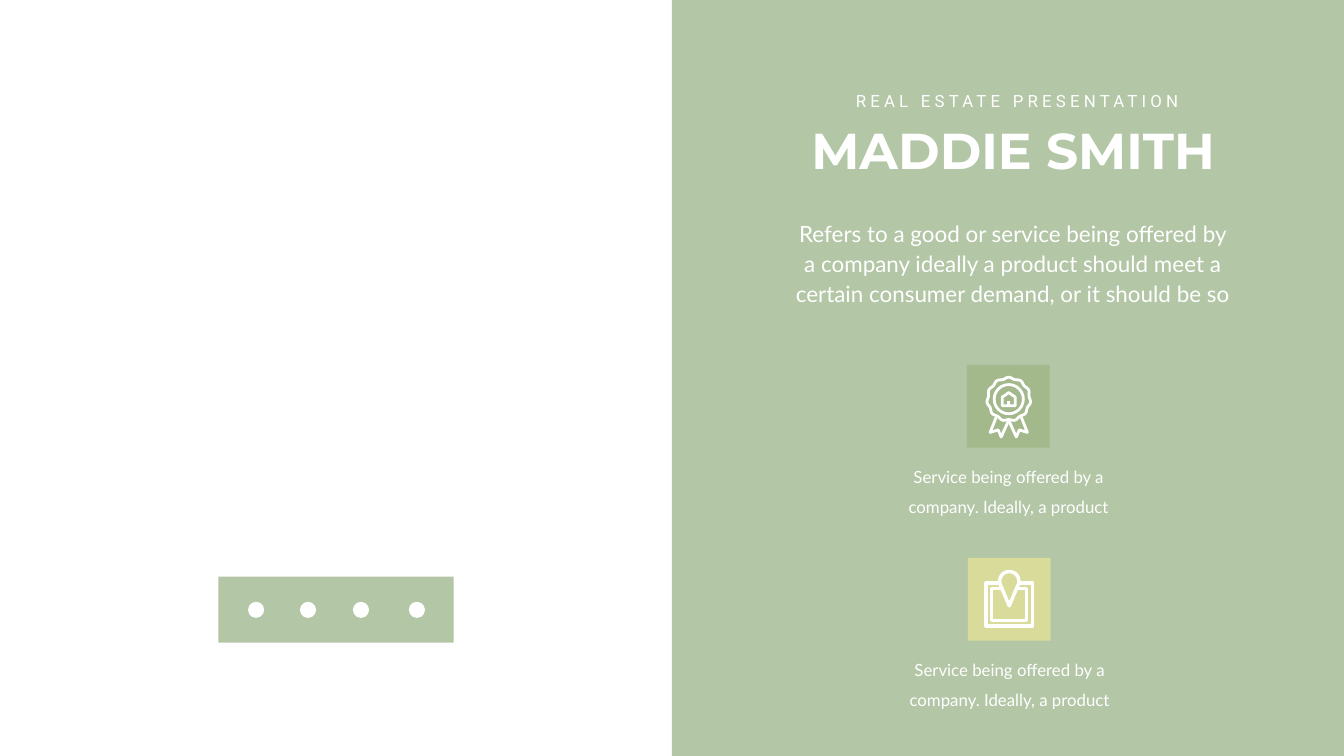
from math import cos, pi, sin

from pptx import Presentation
from pptx.dml.color import RGBColor
from pptx.enum.shapes import MSO_SHAPE as Shape
from pptx.enum.text import MSO_AUTO_SIZE as AutoSize, PP_ALIGN as Align
from pptx.oxml.ns import qn
from pptx.util import Inches, Pt
from lxml.etree import SubElement

COLORS = {
    "white": "FFFFFF",
    "sage": "B3C6A6",
    "moss": "A3B98C",
    "lime": "D8DB9A",
}
SERVICE = "Service being offered by a company. Ideally, a product"
SUMMARY = ("Refers to a good or service being offered by a company ideally "
           "a product should meet a certain consumer demand, or it should be so")


def rgb(name):
    return RGBColor.from_string(COLORS[name])


def add_block(shapes, left, top, width, height, color, kind=Shape.RECTANGLE):
    """Filled preset shape without an outline."""
    block = shapes.add_shape(kind, Inches(left), Inches(top),
                             Inches(width), Inches(height))
    block.shadow.inherit = False
    block.fill.solid()
    block.fill.fore_color.rgb = rgb(color)
    block.line.fill.background()
    return block


def set_stroke(outline, weight):
    """White line with round joins and no fill."""
    outline.shadow.inherit = False
    outline.fill.background()
    outline.line.color.rgb = rgb("white")
    outline.line.width = Pt(weight)
    SubElement(outline.line._get_or_add_ln(), qn("a:round"))


def add_outline(shapes, points, weight, close=False):
    start, *rest = [(Inches(x), Inches(y)) for x, y in points]
    builder = shapes.build_freeform(*start)
    builder.add_line_segments(rest, close=close)
    set_stroke(builder.convert_to_shape(), weight)


def add_ring(shapes, cx, cy, radius, weight):
    ring = shapes.add_shape(Shape.OVAL, Inches(cx - radius), Inches(cy - radius),
                            Inches(2 * radius), Inches(2 * radius))
    set_stroke(ring, weight)


def add_text(shapes, text, left, top, width, height, *, font, size,
             bold=False, tracking=None, leading=None, inset=(0.1, 0.05)):
    box = shapes.add_textbox(Inches(left), Inches(top),
                             Inches(width), Inches(height))
    frame = box.text_frame
    frame.word_wrap = True
    frame.auto_size = AutoSize.SHAPE_TO_FIT_TEXT
    frame.margin_left = frame.margin_right = Inches(inset[0])
    frame.margin_top = frame.margin_bottom = Inches(inset[1])
    paragraph = frame.paragraphs[0]
    paragraph.alignment = Align.CENTER
    if leading:
        paragraph.line_spacing = Pt(leading)
    run = paragraph.add_run()
    run.text = text
    run.font.name = font
    run.font.size = Pt(size)
    run.font.bold = bold
    run.font.color.rgb = rgb("white")
    if tracking:
        run.font._element.set("spc", str(tracking * 100))


def add_body(shapes, text, left, top, width, height, size):
    add_text(shapes, text, left, top, width, height, font="Lato", size=size,
             leading=43, inset=(0.24, 0.12))


def arc(cx, cy, radius, start, end, steps=24):
    """Points on an arc, with angles in degrees clockwise from the right."""
    angles = [(start + (end - start) * i / steps) * pi / 180
              for i in range(steps + 1)]
    return [(cx + radius * cos(a), cy + radius * sin(a)) for a in angles]


def add_social_bar(shapes):
    bar = shapes.add_group_shape().shapes
    add_block(bar, 4.33, 11.44, 4.67, 1.31, "sage")
    # Plain dots stand for the network marks
    for center in (5.08, 6.11, 7.16, 8.27):
        add_block(bar, center - 0.16, 11.94, 0.32, 0.32, "white", Shape.OVAL)


def add_award_icon(shapes):
    award = shapes.add_group_shape().shapes
    cx, cy = 20.01, 7.92
    # Scalloped rim and inner ring
    rim = []
    for step in range(132):
        angle = 2 * pi * step / 132
        radius = 0.42 - 0.015 * cos(11 * (angle - pi / 2))
        rim.append((cx + radius * cos(angle), cy + radius * sin(angle)))
    add_outline(award, rim, 4, close=True)
    add_ring(award, cx, cy, 0.29, 4)
    # Two mirrored ribbon tails
    tail = [(0.25, 8.28), (0.37, 8.58), (0.21, 8.53), (0.15, 8.67), (0, 8.34)]
    for side in (-1, 1):
        add_outline(award, [(cx + side * dx, y) for dx, y in tail], 4)
    # House with its door
    house = [(-0.13, 8.05), (-0.13, 7.88), (0, 7.79), (0.13, 7.88), (0.13, 8.05)]
    add_outline(award, [(cx + dx, y) for dx, y in house], 4, close=True)
    add_block(award, cx - 0.03, 7.96, 0.06, 0.09, "white")


def add_map_icon(shapes):
    place = shapes.add_group_shape().shapes
    cx = 20.02
    # Two frames, open at the top where the pin stands
    for gap, half, top, bottom, weight in ((0.2, 0.46, 11.57, 12.42, 5),
                                           (0.17, 0.35, 11.68, 12.31, 4.5)):
        add_outline(place, [(cx - gap, top), (cx - half, top),
                            (cx - half, bottom), (cx + half, bottom),
                            (cx + half, top), (cx + gap, top)], weight)
    # Pin
    head = arc(cx, 11.53, 0.19, 160, 380)
    add_outline(place, head + [(cx, 12.02)], 5, close=True)


def main():
    deck = Presentation()
    deck.slide_width, deck.slide_height = Inches(26.66), Inches(15)
    slide = deck.slides.add_slide(deck.slide_layouts[6])
    slide.background.fill.solid()
    slide.background.fill.fore_color.rgb = rgb("white")
    shapes = slide.shapes

    # Panel and social bar
    add_block(shapes, 13.33, -0.03, 13.33, 15.03, "sage")
    add_social_bar(shapes)

    # Heading and summary
    add_text(shapes, "MADDIE SMITH", 15.99, 2.31, 8.21, 1.31,
             font="Montserrat", size=72, bold=True)
    add_text(shapes, "REAL ESTATE PRESENTATION", 16.67, 1.76, 7.01, 0.5,
             font="Roboto", size=24, tracking=6)
    add_body(shapes, SUMMARY, 15.49, 4.18, 9.2, 1.99, 32)

    # Services: tile, icon, caption
    for left, top, color, add_icon in ((19.18, 7.24, "moss", add_award_icon),
                                       (19.2, 11.07, "lime", add_map_icon)):
        add_block(shapes, left, top, 1.64, 1.64, color)
        add_icon(shapes)
        add_body(shapes, SERVICE, left - 1.77, top + 1.7, 5.19, 1.38, 24)

    deck.save("out.pptx")


if __name__ == "__main__":
    main()
